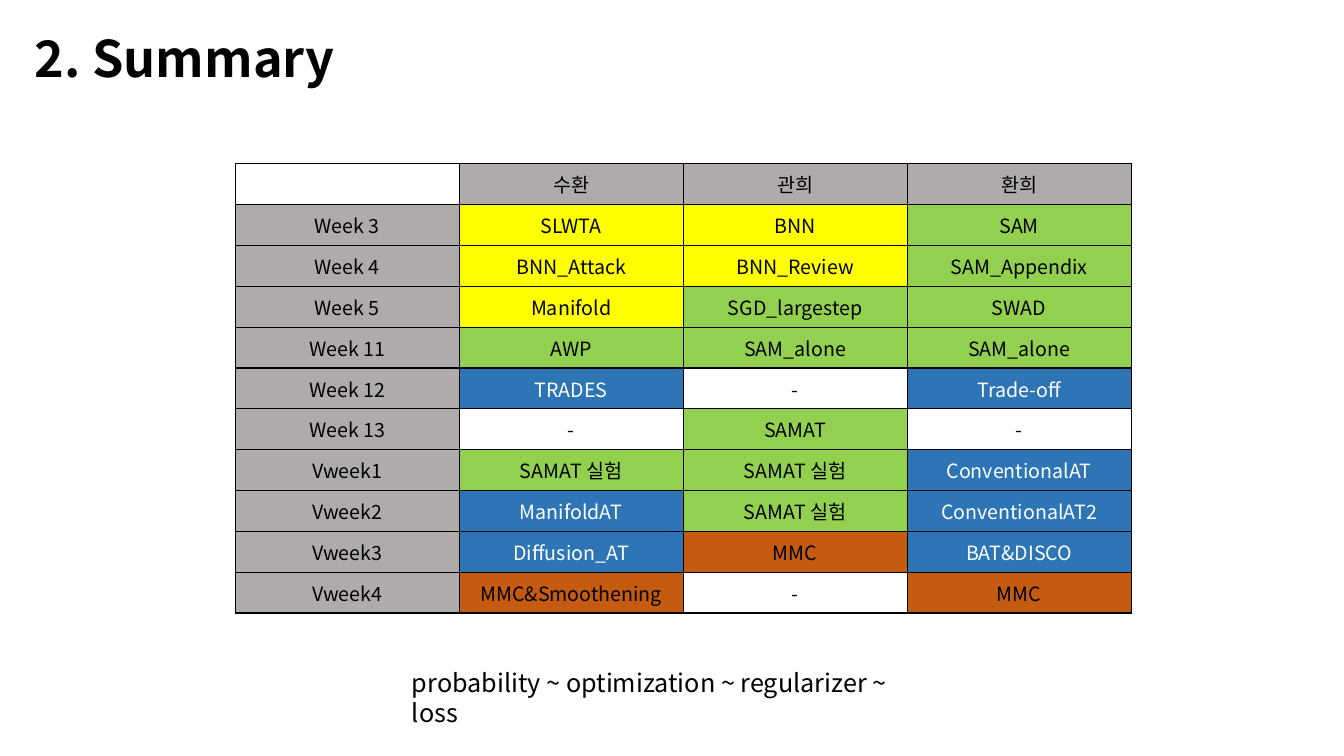
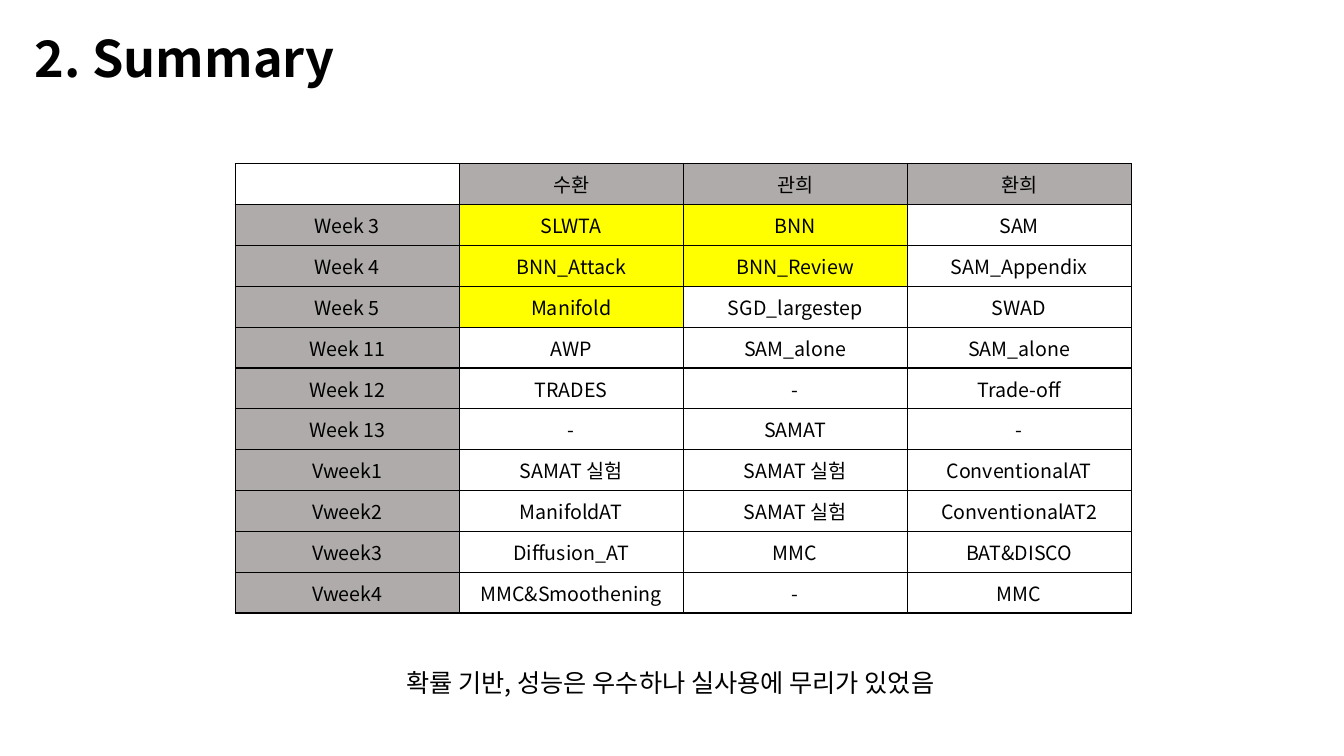
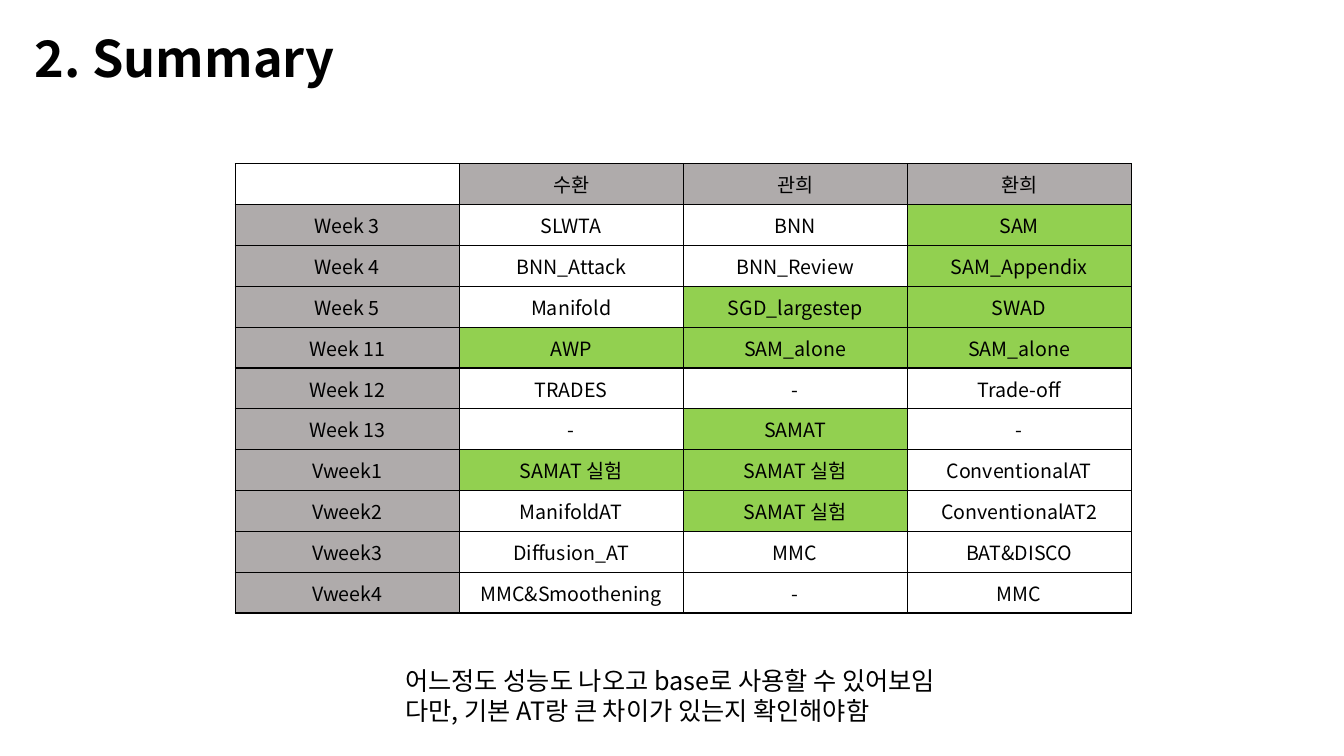
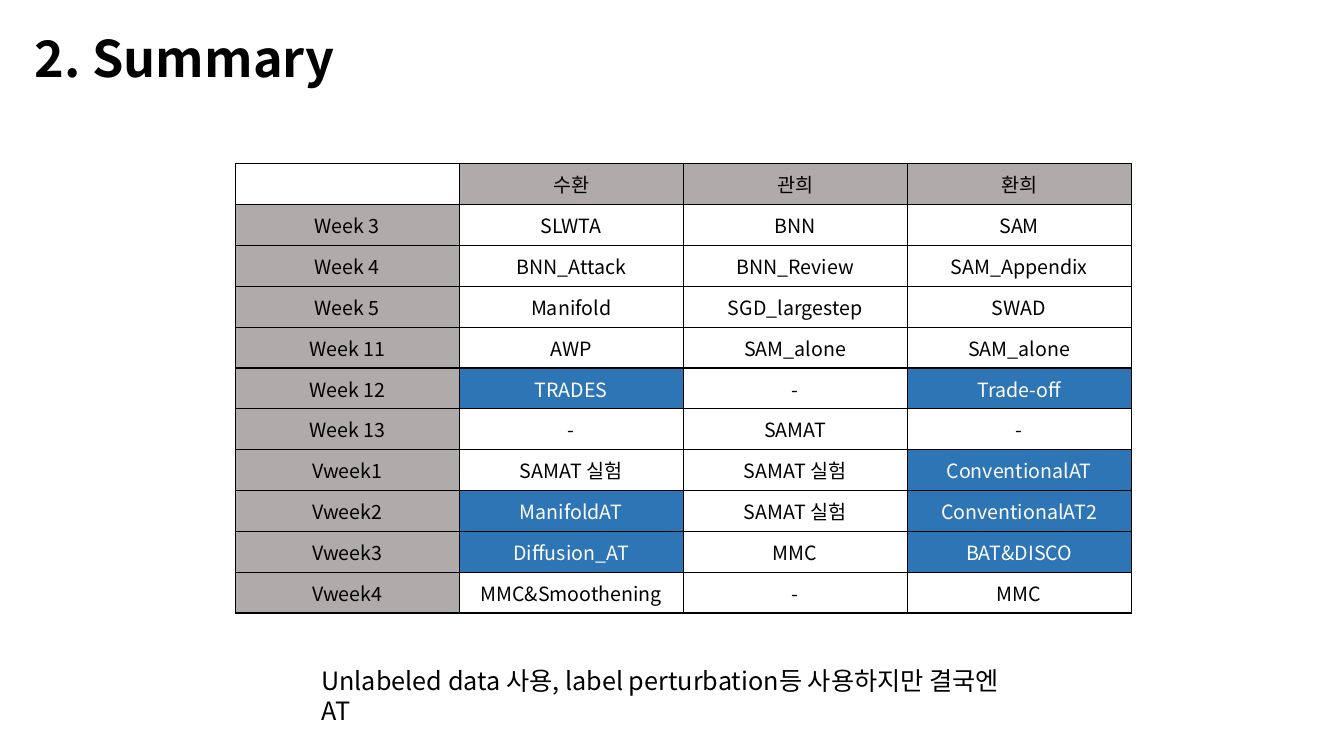
from dataclasses import dataclass

from lxml import etree
from pptx import Presentation
from pptx.dml.color import RGBColor
from pptx.enum.text import MSO_ANCHOR, MSO_AUTO_SIZE, PP_ALIGN
from pptx.oxml.ns import qn
from pptx.util import Inches, Pt

LEFT, CENTER = PP_ALIGN.LEFT, PP_ALIGN.CENTER
TOP, MIDDLE = MSO_ANCHOR.TOP, MSO_ANCHOR.MIDDLE
NO_AUTOFIT = MSO_AUTO_SIZE.NONE
TITLE_ONLY = 5
GRID_COLS, GRID_ROWS = 60, 36


@dataclass(frozen=True)
class Theme:
    font: str = "Noto Sans CJK KR"
    ink: str = "000000"
    light: str = "FFFFFF"
    header: str = "AFABAB"
    probability: str = "FFFF00"
    optimization: str = "92D050"
    regularizer: str = "2E75B6"
    loss: str = "C55A11"
    title_size: int = 36
    note_size: int = 18
    cell_size: int = 14
    line_pitch: float = 1.19
    border: float = 1


THEME = Theme()

# Topic letters: Probability, Optimization, Regularizer, Loss
TOPIC_FILLS = {"P": THEME.probability, "O": THEME.optimization,
               "R": THEME.regularizer, "L": THEME.loss}

# Each row: its cells, then the topic letter of every cell after the first
HEADER = ("", "수환", "관희", "환희")
WEEKS = [
    (("Week 3", "SLWTA", "BNN", "SAM"), "PPO"),
    (("Week 4", "BNN_Attack", "BNN_Review", "SAM_Appendix"), "PPO"),
    (("Week 5", "Manifold", "SGD_largestep", "SWAD"), "POO"),
    (("Week 11", "AWP", "SAM_alone", "SAM_alone"), "OOO"),
    (("Week 12", "TRADES", "-", "Trade-off"), "R-R"),
    (("Week 13", "-", "SAMAT", "-"), "-O-"),
    (("Vweek1", "SAMAT 실험", "SAMAT 실험", "ConventionalAT"), "OOR"),
    (("Vweek2", "ManifoldAT", "SAMAT 실험", "ConventionalAT2"), "ROR"),
    (("Vweek3", "Diffusion_AT", "MMC", "BAT&DISCO"), "RLR"),
    (("Vweek4", "MMC&Smoothening", "-", "MMC"), "L-L"),
]

# Each slide: topics to highlight, note lines, note width and top on the grid
SLIDES = [
    ("PORL", ["probability ~ optimization ~ regularizer ~ loss"], 24.1, 31.55),
    ("P", ["확률 기반, 성능은 우수하나 실사용에 무리가 있었음"], 24.6, 31.55),
    ("O", ["어느정도 성능도 나오고 base로 사용할 수 있어보임",
           "다만, 기본 AT랑 큰 차이가 있는지 확인해야함"], 24.7, 31.45),
    ("R", ["Unlabeled data 사용, label perturbation등 사용하지만 결국엔 AT"],
     32.2, 31.45),
]


class Deck:
    def __init__(self, theme):
        self.theme = theme
        self.prs = Presentation()
        self.prs.slide_width, self.prs.slide_height = Inches(13.33), Inches(7.5)
        self.s = None

    def box(self, col, row, cols, rows):
        """Turn grid units into left, top, width and height."""
        dx = self.prs.slide_width / GRID_COLS
        dy = self.prs.slide_height / GRID_ROWS
        return [round(v) for v in (col * dx, row * dy, cols * dx, rows * dy)]

    def add_text(self, p, text, size, color=None, bold=False, align=LEFT):
        p.alignment = align
        r = p.add_run()
        r.text = text
        formats = {"name": self.theme.font, "size": Pt(size), "bold": bold}
        for key, value in formats.items():
            setattr(r.font, key, value)
        r.font.color.rgb = RGBColor.from_string(color or self.theme.ink)

    def fill_frame(self, tf, lines, size, bold=False):
        frame = {"word_wrap": True, "auto_size": NO_AUTOFIT,
                 "vertical_anchor": TOP}
        for key, value in frame.items():
            setattr(tf, key, value)
        for i, line in enumerate(lines):
            p = tf.add_paragraph() if i else tf.paragraphs[0]
            p.line_spacing = Pt(round(size * self.theme.line_pitch, 1))
            self.add_text(p, line, size, bold=bold)

    def slide(self, title):
        layout = self.prs.slide_layouts[TITLE_ONLY]
        self.s = self.prs.slides.add_slide(layout)
        sp = self.s.shapes.title
        sp.left, sp.top, sp.width, sp.height = self.box(1.1, 1.1, 58.8, 3.4)
        self.fill_frame(sp.text_frame, [title], self.theme.title_size, bold=True)

    def note(self, lines, cols, row):
        """Add a text box centred across the slide."""
        place = self.box((GRID_COLS - cols) / 2, row, cols, 0.4 + 1.5 * len(lines))
        sp = self.s.shapes.add_textbox(*place)
        self.fill_frame(sp.text_frame, lines, self.theme.note_size)

    def cell(self, cell, text, fill, color):
        cell.vertical_anchor = MIDDLE
        p = cell.text_frame.paragraphs[0]
        if text:
            self.add_text(p, text, self.theme.cell_size, color, align=CENTER)
        else:
            # An empty cell keeps the small type so its row does not grow
            end = etree.SubElement(p._p, qn("a:endParaRPr"))
            end.set("sz", str(self.theme.cell_size * 100))
        # Borders come before the fill in the cell properties
        tc_pr = cell._tc.get_or_add_tcPr()
        for side in ("a:lnL", "a:lnR", "a:lnT", "a:lnB"):
            ln = etree.SubElement(tc_pr, qn(side), w=str(Pt(self.theme.border)))
            solid = etree.SubElement(ln, qn("a:solidFill"))
            etree.SubElement(solid, qn("a:srgbClr"), val=self.theme.ink)
        if fill:
            cell.fill.solid()
            cell.fill.fore_color.rgb = RGBColor.from_string(fill)
        else:
            cell.fill.background()

    def schedule(self, shown):
        """Add the week table, with only the shown topics coloured."""
        t = self.theme
        rows = [(HEADER, "HHH")] + WEEKS
        place = self.box(10.5, 7.8, 40, 21.4)
        table = self.s.shapes.add_table(len(rows), len(HEADER), *place).table
        table.first_row = table.horz_banding = False
        for row in table.rows:
            row.height = place[3] // len(rows)
        fills = {k: TOPIC_FILLS[k] for k in shown} | {"H": t.header}
        for i, (texts, topics) in enumerate(rows):
            codes = ("H" if i else "-") + topics
            for j, (text, code) in enumerate(zip(texts, codes)):
                fill = fills.get(code)
                color = t.light if fill == t.regularizer else t.ink
                self.cell(table.cell(i, j), text, fill, color)


def main():
    deck = Deck(THEME)
    for shown, lines, cols, row in SLIDES:
        deck.slide("2. Summary")
        deck.schedule(shown)
        deck.note(lines, cols, row)
    deck.prs.save("out.pptx")


if __name__ == "__main__":
    main()
